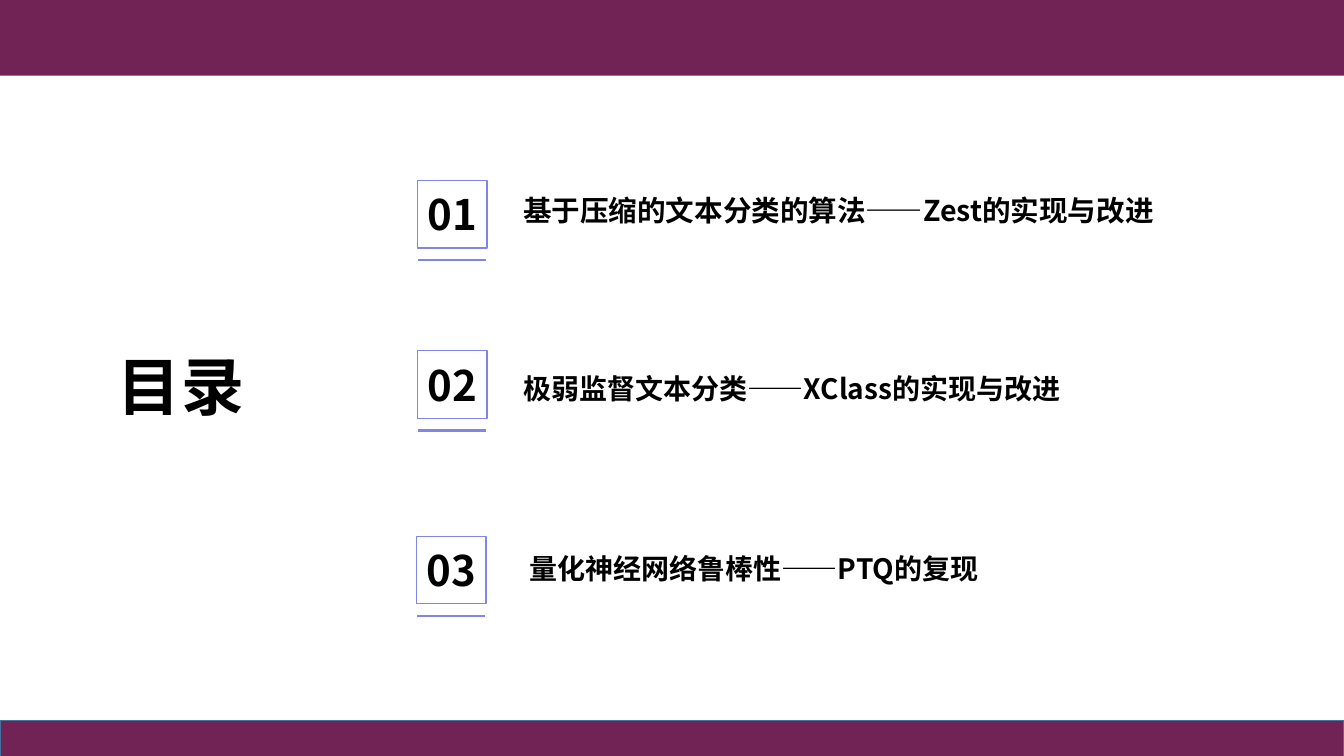
import pptx
import pptx.util
import pptx.dml.color
import pptx.enum.shapes
import pptx.enum.text
import pptx.oxml
import pptx.oxml.ns

Inches = pptx.util.Inches
FONT = "Noto Sans CJK SC"
PLUM, VIOLET, STEEL = "712355", "8185E8", "43739E"
BLACK, WHITE = "000000", "FFFFFF"

# number, heading, number box (left, top), heading (left, top), heading size
ENTRIES = [
    ("01", "基于压缩的文本分类的算法——Zest的实现与改进", (4.14, 1.79), (5.09, 1.86), 20.4),
    ("02", "极弱监督文本分类——XClass的实现与改进", (4.14, 3.48), (5.09, 3.64), 20),
    ("03", "量化神经网络鲁棒性——PTQ的复现", (4.13, 5.32), (5.15, 5.42), 20),
]


def color(value):
    """Turn a hex string into a colour."""
    return pptx.dml.color.RGBColor.from_string(value)


def write(frame, text, size, align, anchor, wrap=True):
    """Put bold black text into a text frame."""
    layout = {"word_wrap": wrap, "vertical_anchor": anchor,
              "auto_size": pptx.enum.text.MSO_AUTO_SIZE.NONE}
    for key, value in layout.items():
        setattr(frame, key, value)
    paragraph = frame.paragraphs[0]
    paragraph.alignment = align
    run = paragraph.add_run()
    run.text = text
    for key, value in {"size": pptx.util.Pt(size), "bold": True, "name": FONT}.items():
        setattr(run.font, key, value)
    run.font.color.rgb = color(BLACK)
    east_asian = pptx.oxml.parse_xml(
        f'<a:ea {pptx.oxml.ns.nsdecls("a")} typeface="{FONT}"/>')
    run.font._element.find(pptx.oxml.ns.qn("a:latin")).addnext(east_asian)


def add_rectangle(slide, box, fill=None, line=None):
    """Draw a flat rectangle with an optional fill and outline."""
    rectangle = slide.shapes.add_shape(
        pptx.enum.shapes.MSO_SHAPE.RECTANGLE, *map(Inches, box))
    rectangle.shadow.inherit = False
    if fill:
        rectangle.fill.solid()
        rectangle.fill.fore_color.rgb = color(fill)
    else:
        rectangle.fill.background()
    if line:
        rectangle.line.color.rgb = color(line)
        rectangle.line.width = pptx.util.Pt(1)
    else:
        rectangle.line.fill.background()
    return rectangle


def add_bands(slide, width):
    """Draw the bands along the top and bottom edges."""
    add_rectangle(slide, (0, 0, width, 0.75), PLUM)
    add_rectangle(slide, (0, 7.15, width, 0.36), PLUM, STEEL)


def add_title(slide, box):
    """Place the contents heading in the title placeholder."""
    title = slide.shapes.title
    for key, value in zip(("left", "top", "width", "height"), box):
        setattr(title, key, Inches(value))
    write(title.text_frame, "目录", 45, pptx.enum.text.PP_ALIGN.LEFT,
          pptx.enum.text.MSO_ANCHOR.TOP, wrap=False)


def add_entry(slide, number, heading, corner, heading_corner, size):
    """Place one contents entry: boxed number, underline and heading."""
    left, top = corner
    number_box = add_rectangle(slide, (left, top, 0.69, 0.67), line=VIOLET)
    write(number_box.text_frame, number, 30, pptx.enum.text.PP_ALIGN.CENTER,
          pptx.enum.text.MSO_ANCHOR.MIDDLE)
    add_rectangle(slide, (left, top + 0.77, 0.69, 0.04), VIOLET, WHITE)
    heading_box = slide.shapes.add_textbox(*map(Inches, (*heading_corner, 6.81, 0.59)))
    write(heading_box.text_frame, heading, size, pptx.enum.text.PP_ALIGN.LEFT,
          pptx.enum.text.MSO_ANCHOR.TOP)


def main():
    """Build the contents slide and save it."""
    deck = pptx.Presentation()
    deck.slide_width, deck.slide_height = Inches(13.33), Inches(7.5)
    slide = deck.slides.add_slide(deck.slide_layouts[5])
    add_bands(slide, 13.33)
    add_title(slide, (1.07, 3.4, 1.63, 0.83))
    for entry in ENTRIES:
        add_entry(slide, *entry)
    deck.save("out.pptx")


if __name__ == "__main__":
    main()
